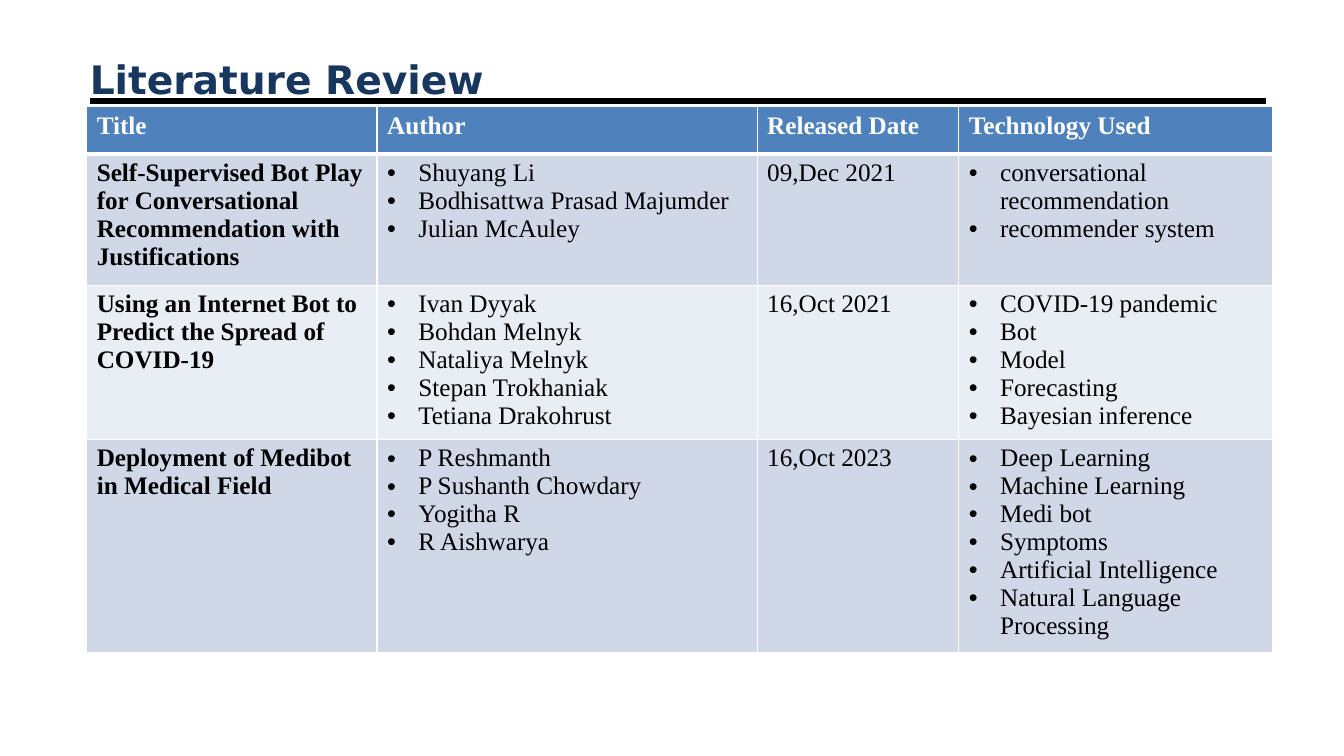
from dataclasses import dataclass

from lxml.etree import SubElement
from pptx import Presentation
from pptx.dml.color import RGBColor
from pptx.enum.text import MSO_ANCHOR, PP_ALIGN
from pptx.oxml.ns import qn
from pptx.slide import Slide
from pptx.table import _Cell
from pptx.text.text import _Paragraph
from pptx.util import Inches, Pt


@dataclass(frozen=True)
class Theme:
    title_font: str = "DejaVu Sans"
    table_font: str = "Times New Roman"
    title_size: int = 28
    table_size: int = 18
    title_color: str = "17375E"
    rule_color: str = "000000"
    text_color: str = "000000"
    header_text: str = "FFFFFF"
    border: str = "FFFFFF"
    header_fill: str = "4F81BD"
    bands: tuple[str, str] = ("D0D8E8", "E9EDF4")


@dataclass(frozen=True)
class Paper:
    title: str
    authors: tuple[str, ...]
    released: str
    technologies: tuple[str, ...]
    height: float


THEME = Theme()
HEADINGS = ("Title", "Author", "Released Date", "Technology Used")
COLUMN_WIDTHS = (2.88, 3.77, 2, 3.11)
HEADER_HEIGHT = 0.47
BULLET_INDENT = 0.31
PAPERS = (
    Paper(
        "Self-Supervised Bot Play for Conversational Recommendation with Justifications",
        ("Shuyang Li", "Bodhisattwa Prasad Majumder", "Julian McAuley"),
        "09,Dec 2021",
        ("conversational recommendation", "recommender system"),
        1.3,
    ),
    Paper(
        "Using an Internet Bot to Predict the Spread of COVID-19",
        ("Ivan Dyyak", "Bohdan Melnyk", "Nataliya Melnyk", "Stepan Trokhaniak",
         "Tetiana Drakohrust"),
        "16,Oct 2021",
        ("COVID-19 pandemic", "Bot", "Model", "Forecasting", "Bayesian inference"),
        1.53,
    ),
    Paper(
        "Deployment of Medibot in Medical Field",
        ("P Reshmanth", "P Sushanth Chowdary", "Yogitha R", "R Aishwarya"),
        "16,Oct 2023",
        ("Deep Learning", "Machine Learning", "Medi bot", "Symptoms",
         "Artificial Intelligence", "Natural Language Processing"),
        2.11,
    ),
)


def add_text(paragraph: _Paragraph, text: str, font: str, size: int,
             color: str, bold: bool) -> None:
    run = paragraph.add_run()
    run.text = text
    run.font.name = font
    run.font.size = Pt(size)
    run.font.bold = bold
    run.font.color.rgb = RGBColor.from_string(color)


def add_bullet(paragraph: _Paragraph) -> None:
    properties = paragraph._p.get_or_add_pPr()
    properties.set("marL", str(Inches(BULLET_INDENT)))
    properties.set("indent", str(-Inches(BULLET_INDENT)))
    SubElement(properties, qn("a:buFont")).set("typeface", "Arial")
    SubElement(properties, qn("a:buChar")).set("char", "•")


def set_borders(cell: _Cell, top: float, bottom: float) -> None:
    properties = cell._tc.get_or_add_tcPr()
    for side, width in (("L", 1), ("R", 1), ("T", top), ("B", bottom)):
        border = SubElement(properties, qn(f"a:ln{side}"))
        border.set("w", str(Pt(width)))
        fill = SubElement(border, qn("a:solidFill"))
        SubElement(fill, qn("a:srgbClr")).set("val", THEME.border)


def fill_cell(cell: _Cell, lines: tuple[str, ...], fill: str, color: str,
              bold: bool = False, bulleted: bool = False,
              top: float = 1, bottom: float = 1) -> None:
    set_borders(cell, top, bottom)
    cell.fill.solid()
    cell.fill.fore_color.rgb = RGBColor.from_string(fill)
    frame = cell.text_frame
    for index, line in enumerate(lines):
        paragraph = frame.add_paragraph() if index else frame.paragraphs[0]
        if bulleted:
            add_bullet(paragraph)
        add_text(paragraph, line, THEME.table_font, THEME.table_size, color, bold)


def add_heading(slide: Slide) -> None:
    rule = slide.shapes.add_connector(
        1, Inches(0.89), Inches(1), Inches(12.56), Inches(1))
    rule.line.color.rgb = RGBColor.from_string(THEME.rule_color)
    rule.line.width = Pt(4.5)
    SubElement(rule._element.spPr, qn("a:effectLst"))

    heading = slide.shapes.title
    heading.left, heading.top = Inches(0.89), Inches(0.51)
    heading.width, heading.height = Inches(11.65), Inches(0.6)
    frame = heading.text_frame
    frame.margin_left = frame.margin_right = 0
    frame.margin_top = frame.margin_bottom = 0
    frame.vertical_anchor = MSO_ANCHOR.MIDDLE
    paragraph = frame.paragraphs[0]
    paragraph.alignment = PP_ALIGN.LEFT
    paragraph.line_spacing = 0.9
    add_text(paragraph, "Literature Review", THEME.title_font,
             THEME.title_size, THEME.title_color, True)


def add_review(slide: Slide) -> None:
    heights = (HEADER_HEIGHT, *(paper.height for paper in PAPERS))
    review = slide.shapes.add_table(
        len(heights), len(HEADINGS), Inches(0.86), Inches(1.06),
        Inches(sum(COLUMN_WIDTHS)), Inches(sum(heights))).table
    for column, width in zip(review.columns, COLUMN_WIDTHS):
        column.width = Inches(width)
    for row, height in zip(review.rows, heights):
        row.height = Inches(height)

    for column, label in enumerate(HEADINGS):
        fill_cell(review.cell(0, column), (label,), THEME.header_fill,
                  THEME.header_text, bold=True, bottom=3)
    for row, paper in enumerate(PAPERS, start=1):
        band = THEME.bands[(row - 1) % 2]
        entries = ((paper.title,), paper.authors, (paper.released,), paper.technologies)
        for column, lines in enumerate(entries):
            fill_cell(review.cell(row, column), lines, band, THEME.text_color,
                      bold=column == 0, bulleted=column in (1, 3),
                      top=3 if row == 1 else 1)


def main() -> None:
    presentation = Presentation()
    presentation.slide_width = Inches(13.33)
    presentation.slide_height = Inches(7.5)
    slide = presentation.slides.add_slide(presentation.slide_layouts[5])
    add_heading(slide)
    add_review(slide)
    presentation.save("out.pptx")


if __name__ == "__main__":
    main()
